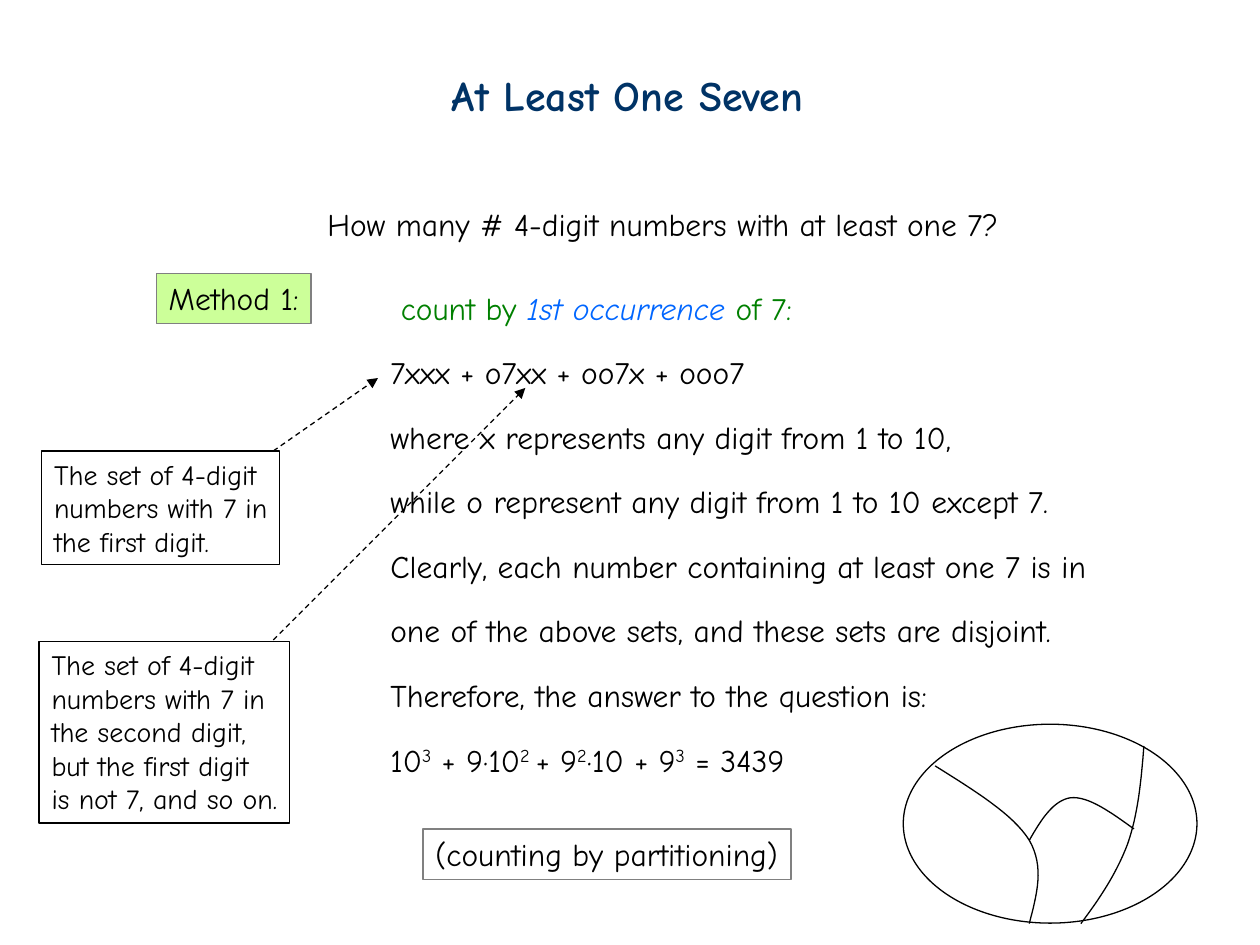
from dataclasses import dataclass

from pptx import Presentation
from pptx import util as u
from pptx.dml.color import RGBColor
from pptx.enum import dml, shapes, text
from pptx.oxml.ns import qn
from lxml import etree

FONT = "Comic Neue"
BLACK, GRAY, NAVY = "000000", "808080", "003366"
GREEN, BLUE, LIME = "008000", "0066FF", "CCFF99"


@dataclass
class Span:
    words: str
    color: str = BLACK
    italic: bool = False
    raised: bool = False


@dataclass
class Line:
    spans: list[Span]
    margin: float = 0  # cm
    spacing: float = 1
    before: float = 0  # points


@dataclass
class Frame:
    left: float
    top: float
    width: float
    height: float
    lines: list[str]
    size: int = 18
    border: str = BLACK
    fill: str | None = None


def rgb(color: str) -> RGBColor:
    return RGBColor.from_string(color)


def style_outline(shape, color: str = BLACK, fill: str | None = None) -> None:
    shape.shadow.inherit = False
    shape.line.color.rgb = rgb(color)
    shape.line.width = u.Pt(0.75)
    if fill:
        shape.fill.solid()
        shape.fill.fore_color.rgb = rgb(fill)
    else:
        shape.fill.background()


def add_span(para, words: str, *, size: int = 18, color: str = BLACK,
             bold: bool = False, italic: bool = False, raised: bool = False) -> None:
    span = para.add_run()
    span.text = words
    span.font.name = FONT
    span.font.size = u.Pt(size)
    span.font.bold = bold
    span.font.italic = italic
    span.font.color.rgb = rgb(color)
    if raised:
        span._r.get_or_add_rPr().set("baseline", "30000")


def write_lines(box, lines: list[Line], *, size: int = 18, bold: bool = False,
                wrap: bool = False) -> None:
    frame = box.text_frame
    frame.word_wrap = wrap
    frame.vertical_anchor = text.MSO_ANCHOR.TOP
    for index, line in enumerate(lines):
        para = frame.add_paragraph() if index else frame.paragraphs[0]
        para.alignment = text.PP_ALIGN.LEFT
        para.line_spacing = line.spacing
        para.space_before = u.Pt(line.before)
        para._p.get_or_add_pPr().set("marL", str(u.Cm(line.margin)))
        for span in line.spans:
            add_span(para, span.words, size=size, color=span.color, bold=bold,
                     italic=span.italic, raised=span.raised)


def add_frame(page, item: Frame) -> None:
    box = page.shapes.add_shape(
        shapes.MSO_SHAPE.RECTANGLE, u.Cm(item.left), u.Cm(item.top),
        u.Cm(item.width), u.Cm(item.height))
    style_outline(box, item.border, item.fill)
    write_lines(box, [Line([Span(words)]) for words in item.lines], size=item.size)


def add_arrow(page, x1: float, y1: float, x2: float, y2: float) -> None:
    arrow = page.shapes.add_connector(
        shapes.MSO_CONNECTOR.STRAIGHT, u.Cm(x1), u.Cm(y1), u.Cm(x2), u.Cm(y2))
    arrow.line.color.rgb = rgb(BLACK)
    arrow.line.width = u.Pt(0.75)
    arrow.line.dash_style = dml.MSO_LINE.DASH
    etree.SubElement(arrow.line._get_or_add_ln(), qn("a:tailEnd"), type="triangle")
    etree.SubElement(arrow._element.spPr, qn("a:effectLst"))


def bezier(points: list[tuple[float, float]], t: float) -> tuple[float, float]:
    weights = ((1 - t) ** 3, 3 * t * (1 - t) ** 2, 3 * t * t * (1 - t), t ** 3)
    x, y = (sum(w * p[axis] for w, p in zip(weights, points)) for axis in (0, 1))
    return u.Cm(x), u.Cm(y)


def add_curve(page, points: list[tuple[float, float]], steps: int = 16) -> None:
    """Draw joined cubic segments that share their end points."""
    trace = [bezier(points[first:first + 4], step / steps)
             for first in range(0, len(points) - 1, 3)
             for step in range(1, steps + 1)]
    builder = page.shapes.build_freeform(*bezier(points[:4], 0))
    builder.add_line_segments(trace, close=False)
    style_outline(builder.convert_to_shape())


BODY = [
    Line([Span("How many # 4-digit numbers with at least one 7?")]),
    Line([Span("count by ", GREEN), Span("1st occurrence", BLUE, italic=True),
          Span(" of 7:", GREEN)], margin=1.48, spacing=2, before=4.5),
]
STEPS = [
    [Span("7xxx + o7xx + oo7x + ooo7")],
    [Span("where x represents any digit from 1 to 10,")],
    [Span("while o represent any digit from 1 to 10 except 7.")],
    [Span("Clearly, each number containing at least one 7 is in")],
    [Span("one of the above sets, and these sets are disjoint.")],
    [Span("Therefore, the answer to the question is:")],
    [Span("10"), Span("3", raised=True), Span(" + 9·10"), Span("2 ", raised=True),
     Span("+ 9"), Span("2", raised=True), Span("·10 + 9"), Span("3", raised=True),
     Span(" = 3439")],
]
FRAMES = [
    Frame(3.15, 5.51, 3.12, 1.02, ["Method 1:"], border=GRAY, fill=LIME),
    Frame(8.53, 16.71, 7.42, 1.02, ["(counting by partitioning)"], border=GRAY),
    Frame(0.84, 9.09, 4.8, 2.29,
          ["The set of 4-digit", "numbers with 7 in", "the first digit."], size=16),
    Frame(0.79, 12.93, 5.05, 3.66,
          ["The set of 4-digit", "numbers with 7 in", "the second digit,",
           "but the first digit", "is not 7, and so on."], size=16),
]
ARROWS = [(5.51, 9.09, 7.62, 7.62), (5.51, 12.9, 10.59, 7.82)]
CURVES = [
    [(18.85, 15.44), (19.63, 15.93), (20.42, 16.41), (20.75, 16.94),
     (21.06, 17.48), (20.9, 18.03), (20.75, 18.62)],
    [(21.79, 18.62), (22.15, 18.14), (22.5, 17.63), (22.73, 17.02),
     (22.94, 16.43), (23.01, 15.72), (23.06, 15.04)],
    [(20.75, 16.94), (20.98, 16.54), (21.23, 16.13), (21.59, 16.08),
     (21.95, 16.05), (22.4, 16.38), (22.86, 16.71)],
]


def main() -> None:
    deck = Presentation()
    deck.slide_width, deck.slide_height = u.Cm(25.4), u.Cm(19.05)
    page = deck.slides.add_slide(deck.slide_layouts[6])

    # Title and explanation
    title = page.shapes.add_textbox(u.Cm(8.86), u.Cm(1.27), u.Cm(7.6), u.Cm(1.27))
    write_lines(title, [Line([Span("At Least One Seven", NAVY)])], size=24, bold=True)
    body = page.shapes.add_textbox(u.Cm(6.35), u.Cm(4.01), u.Cm(17.15), u.Cm(6.55))
    steps = [Line(spans, margin=1.27, spacing=1.5, before=4.5) for spans in STEPS]
    write_lines(body, BODY + steps, wrap=True)

    # Framed notes and their arrows
    for item in FRAMES:
        add_frame(page, item)
    for ends in ARROWS:
        add_arrow(page, *ends)

    # Partitioned set
    whole = page.shapes.add_shape(
        shapes.MSO_SHAPE.OVAL, u.Cm(18.21), u.Cm(14.6), u.Cm(5.92), u.Cm(4.01))
    style_outline(whole)
    for points in CURVES:
        add_curve(page, points)

    deck.save("out.pptx")


if __name__ == "__main__":
    main()
